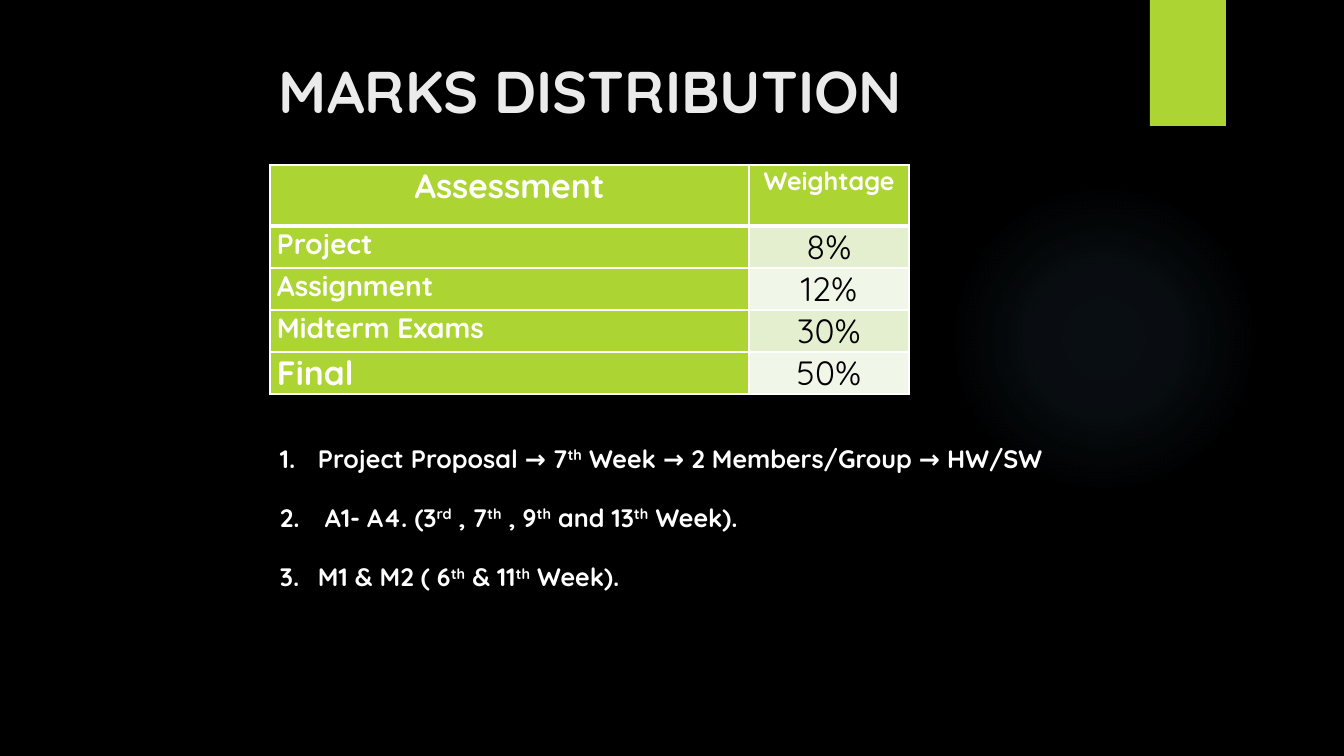
from lxml import etree
from pptx import Presentation
from pptx import util as u
from pptx.dml.color import RGBColor
from pptx.enum import shapes, text
from pptx.oxml import parse_xml
from pptx.oxml.ns import nsdecls, qn

BLACK = RGBColor(0x00, 0x00, 0x00)
WHITE = RGBColor(0xFF, 0xFF, 0xFF)
OFF_WHITE = RGBColor(0xEB, 0xEB, 0xEB)
LIME = RGBColor(0xAC, 0xD4, 0x33)
BANDS = RGBColor(0xE3, 0xEF, 0xCE), RGBColor(0xF1, 0xF7, 0xE8)
SKY = RGBColor(0x7A, 0xC4, 0xF0)
CENTER = text.PP_ALIGN.CENTER
LEFT = text.PP_ALIGN.LEFT

MARKS = [
    ("Project", "8%", 20),
    ("Assignment", "12%", 20),
    ("Midterm Exams", "30%", 20),
    ("Final", "50%", 24),
]
SCHEDULE = [
    "Project Proposal → 7^th^ Week → 2 Members/Group → HW/SW",
    " A1- A4. (3^rd^ , 7^th^ , 9^th^ and 13^th^ Week).",
    "M1 & M2 ( 6^th^ & 11^th^ Week).",
]


def px(length):
    return u.Emu(round(length * 914400 / 100.8))


def write(para, words, size=18, color=WHITE, bold=True, align=LEFT):
    """Fill a paragraph; parts between carets are superscript."""
    para.alignment = align
    for index, part in enumerate(words.split("^")):
        span = para.add_run()
        span.text = part
        span.font.name = "Quicksand"
        span.font.size = u.Pt(size)
        span.font.bold = bold
        span.font.color.rgb = color
        if index % 2:
            span.font._element.set("baseline", "30000")


class Slide:
    def __init__(self, deck):
        self.page = deck.slides.add_slide(deck.slide_layouts[6])
        self.page.background.fill.solid()
        self.page.background.fill.fore_color.rgb = BLACK

    def shape(self, kind, left, top, width, height, color):
        shape = self.page.shapes.add_shape(kind, px(left), px(top), px(width), px(height))
        shape.shadow.inherit = False
        shape.line.fill.background()
        shape.fill.solid()
        shape.fill.fore_color.rgb = color
        return shape

    def glow(self, left, top, size, color):
        """Draw a disc that fades out from its centre."""
        disc = self.shape(shapes.MSO_SHAPE.OVAL, left, top, size, size, color)
        stops = "".join(
            f'<a:gs pos="{place}000"><a:srgbClr val="{color}">'
            f'<a:alpha val="{alpha}000"/></a:srgbClr></a:gs>'
            for place, alpha in ((0, 7), (36, 6), (69, 0))
        )
        fade = parse_xml(
            f'<a:gradFill {nsdecls("a")}><a:gsLst>{stops}</a:gsLst><a:path path="circle">'
            '<a:fillToRect l="50000" t="50000" r="50000" b="50000"/></a:path></a:gradFill>'
        )
        properties = disc._element.spPr
        properties.replace(properties.find(qn("a:solidFill")), fade)

    def text_box(self, left, top, width, height):
        box = self.page.shapes.add_textbox(px(left), px(top), px(width), px(height))
        box.text_frame.word_wrap = True
        return box.text_frame

    def title(self, words, left, top, width, height):
        frame = self.text_box(left, top, width, height)
        write(frame.paragraphs[0], words, size=42, color=OFF_WHITE, align=CENTER)

    def numbered_list(self, items, left, top, width, height, indent=38):
        frame = self.text_box(left, top, width, height)
        for index, item in enumerate(items):
            para = frame.add_paragraph() if index else frame.paragraphs[0]
            write(para, item)
            para.space_after = u.Pt(20.7)
            properties = para._p.get_or_add_pPr()
            properties.set("marL", str(px(indent)))
            properties.set("indent", str(-px(indent)))
            etree.SubElement(properties, qn("a:buAutoNum"), type="arabicPeriod")

    def table(self, left, top, columns, rows):
        frame = self.page.shapes.add_table(
            len(rows), len(columns), px(left), px(top), px(sum(columns)), px(sum(rows))
        )
        table = frame.table
        for column, width in zip(table.columns, columns):
            column.width = px(width)
        for row, height in zip(table.rows, rows):
            row.height = px(height)
        return table

    def cell(self, cell, words, fill, top_line=1, bottom_line=1, **style):
        cell.margin_left = cell.margin_right = px(7)
        cell.margin_top = cell.margin_bottom = 0
        properties = cell._tc.get_or_add_tcPr()
        for side, points in zip("LRTB", (1, 1, top_line, bottom_line)):
            properties.append(parse_xml(
                f'<a:ln{side} {nsdecls("a")} w="{u.Pt(points)}"><a:solidFill>'
                f'<a:srgbClr val="{WHITE}"/></a:solidFill></a:ln{side}>'
            ))
        cell.fill.solid()
        cell.fill.fore_color.rgb = fill
        write(cell.text_frame.paragraphs[0], words, **style)


def main():
    deck = Presentation()
    deck.slide_width, deck.slide_height = px(1344), px(756)
    slide = Slide(deck)
    slide.glow(949, 184, 310, SKY)
    slide.shape(shapes.MSO_SHAPE.RECTANGLE, 1150, 0, 76, 126, LIME)
    slide.title("MARKS DISTRIBUTION", 72, 50, 1037, 115)

    marks = slide.table(270, 165, [479, 160], [61] + [42] * len(MARKS))
    for column, (heading, size) in enumerate((("Assessment", 24), ("Weightage", 18))):
        slide.cell(marks.cell(0, column), heading, LIME, bottom_line=3, size=size, align=CENTER)
    for row, (name, weight, size) in enumerate(MARKS, start=1):
        top_line = 3 if row == 1 else 1
        slide.cell(marks.cell(row, 0), name, LIME, top_line, size=size)
        slide.cell(marks.cell(row, 1), weight, BANDS[(row - 1) % 2], top_line,
                   size=24, color=BLACK, bold=False, align=CENTER)

    slide.numbered_list(SCHEDULE, 270, 438, 806, 194)
    deck.save("out.pptx")


if __name__ == "__main__":
    main()
